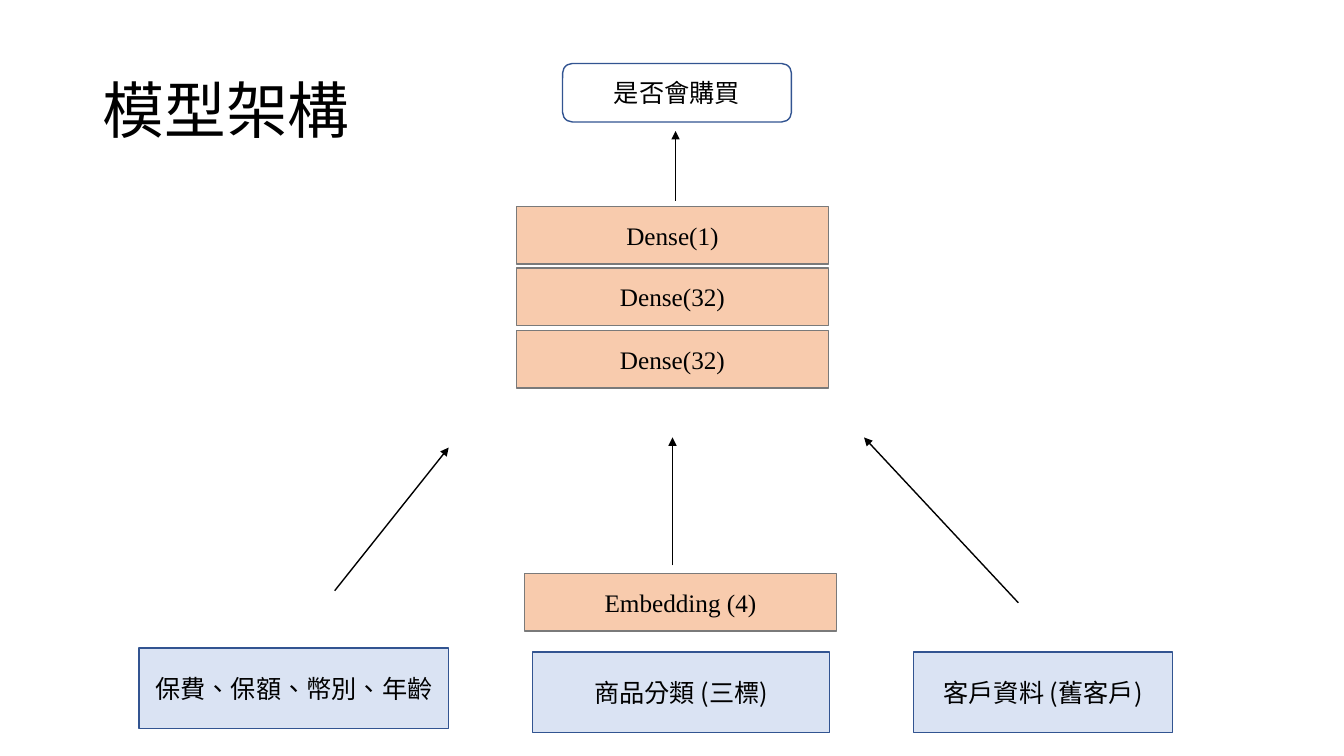
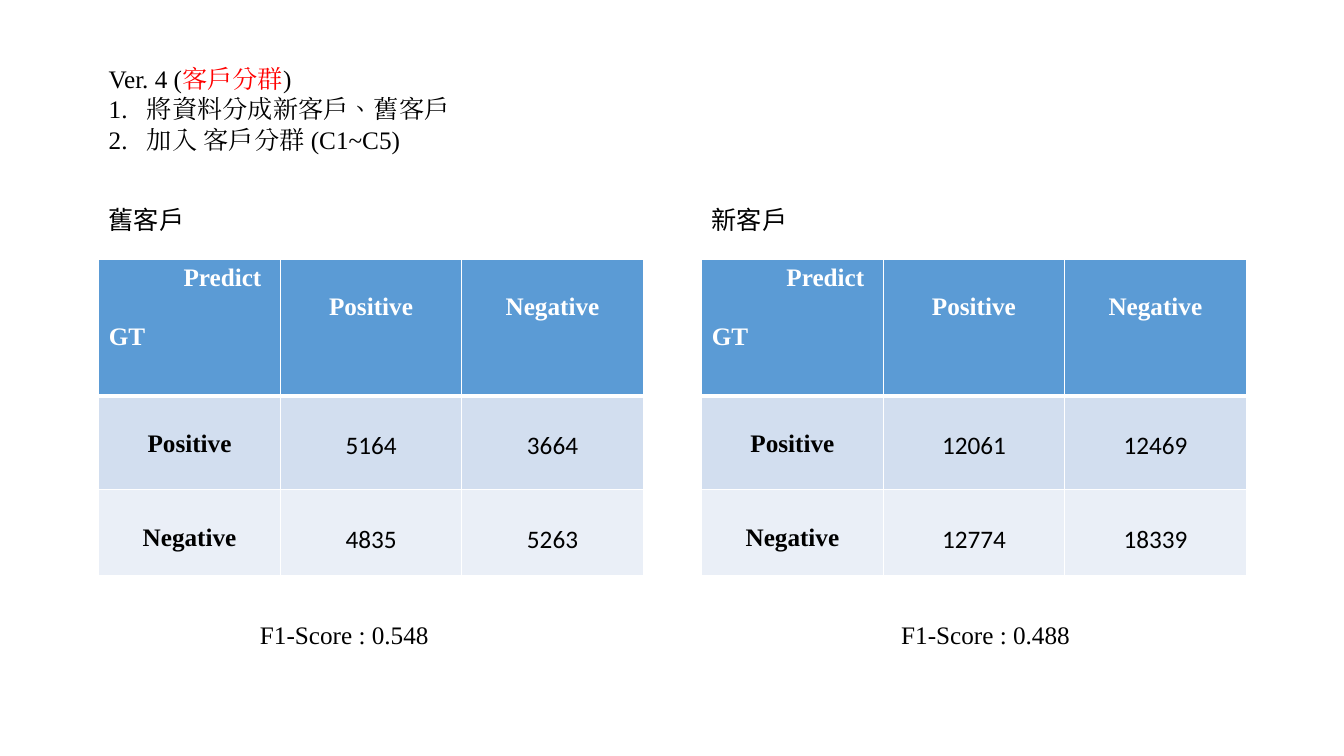
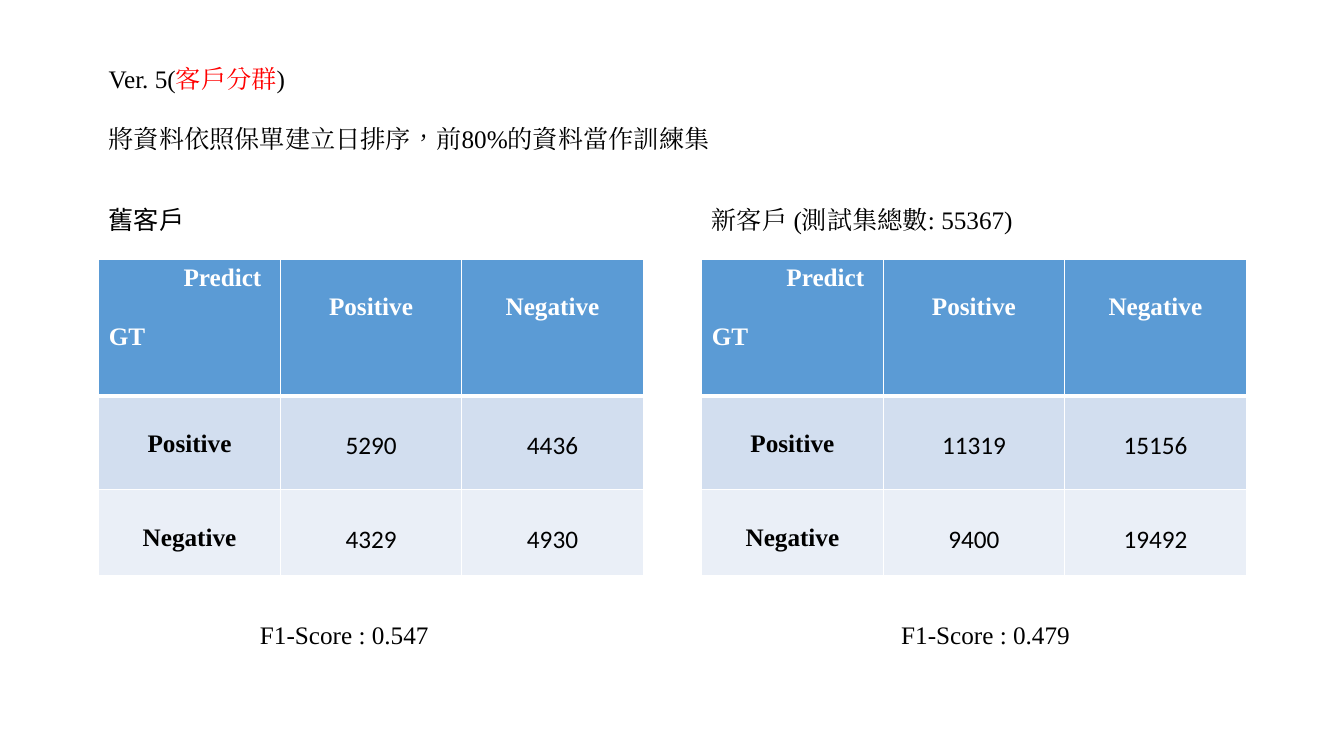
from pptx import Presentation
from pptx.dml.color import RGBColor
from pptx.enum.shapes import MSO_CONNECTOR, MSO_SHAPE
from pptx.enum.text import MSO_ANCHOR, PP_ALIGN
from pptx.oxml.ns import qn
from pptx.util import Inches, Pt
from lxml.etree import SubElement

BLACK = RGBColor(0, 0, 0)
WHITE = RGBColor(255, 255, 255)
RED = RGBColor(255, 0, 0)
NAVY = RGBColor(0x32, 0x54, 0x91)
PALE = RGBColor(0xDA, 0xE3, 0xF3)
PEACH = RGBColor(0xF8, 0xCB, 0xAD)
GRAY = RGBColor(0x7A, 0x7A, 0x7A)
HEAD = RGBColor(0x5B, 0x9B, 0xD5)
BANDS = [RGBColor(0xD2, 0xDE, 0xEF), RGBColor(0xEA, 0xEF, 0xF7)]
SERIF = "Times New Roman"
HAN = "Noto Sans CJK SC"
SANS = "Calibri"
LABELS = ["Positive", "Negative"]


class Deck:
    def __init__(self):
        self.prs = Presentation()
        self.prs.slide_width = Inches(13.33)
        self.prs.slide_height = Inches(7.5)

    def page(self, layout):
        self.slide = self.prs.slides.add_slide(self.prs.slide_layouts[layout])
        self.shapes = self.slide.shapes

    def style(self, para, font=SERIF, color=BLACK, size=18, bold=False):
        for run in para.runs:
            run.font.name = font
            run.font.size = Pt(size)
            run.font.bold = bold
            run.font.color.rgb = color
            props = run.font._element
            props.set("lang", "zh-TW")
            SubElement(props, qn("a:ea")).set("typeface", font)

    def title(self, text):
        shape = self.shapes.title
        shape.left, shape.top = Inches(0.92), Inches(0.4)
        shape.width, shape.height = Inches(11.5), Inches(1.45)
        frame = shape.text_frame
        frame.text = text
        frame.vertical_anchor = MSO_ANCHOR.MIDDLE
        para = frame.paragraphs[0]
        para.alignment = PP_ALIGN.LEFT
        para.line_spacing = 0.9
        self.style(para, HAN, size=44)

    def box(self, text, left, top, width, height, fill, line, font, kind=MSO_SHAPE.RECTANGLE):
        shape = self.shapes.add_shape(kind, Inches(left), Inches(top), Inches(width), Inches(height))
        shape.shadow.inherit = False
        if fill is None:
            shape.fill.background()
        else:
            shape.fill.solid()
            shape.fill.fore_color.rgb = fill
        shape.line.color.rgb = line
        shape.line.width = Pt(1)
        frame = shape.text_frame
        frame.text = text
        frame.word_wrap = True
        frame.vertical_anchor = MSO_ANCHOR.MIDDLE
        para = frame.paragraphs[0]
        para.alignment = PP_ALIGN.CENTER
        self.style(para, font)

    def arrow(self, *ends):
        link = self.shapes.add_connector(MSO_CONNECTOR.STRAIGHT, *[Inches(end) for end in ends])
        link.line.color.rgb = BLACK
        link.line.width = Pt(1)
        SubElement(link.line._get_or_add_ln(), qn("a:tailEnd")).set("type", "triangle")
        SubElement(link._element.spPr, qn("a:effectLst"))

    def text(self, lines, left, top, width, height, font=SERIF):
        shape = self.shapes.add_textbox(Inches(left), Inches(top), Inches(width), Inches(height))
        frame = shape.text_frame
        frame.word_wrap = True
        frame.text = "\n".join(lines)
        for para in frame.paragraphs:
            self.style(para, font)
        return frame.paragraphs

    def intro(self, start, lines, width, listed):
        first, *rest = self.text([start] + lines, 0.98, 0.58, width, 1.01)
        for part, color in [("客戶分群", RED), (")", BLACK)]:
            first.add_run().text = part
        self.style(first)
        first.runs[1].font.color.rgb = RED
        for para in rest:
            if listed:
                self.number(para)
            else:
                para.space_before = Pt(21)

    def number(self, para):
        props = para._p.get_or_add_pPr()
        props.set("marL", str(Inches(0.38)))
        props.set("indent", str(-Inches(0.38)))
        SubElement(props, qn("a:buFont")).set("typeface", HAN)
        SubElement(props, qn("a:buAutoNum")).set("type", "arabicPeriod")

    def border(self, cell, row):
        props = cell._tc.get_or_add_tcPr()
        widths = {"L": 1, "R": 1, "T": 3 if row == 1 else 1, "B": 3 if row == 0 else 1}
        for side, width in widths.items():
            line = SubElement(props, qn("a:ln" + side))
            line.set("w", str(Pt(width)))
            fill = SubElement(line, qn("a:solidFill"))
            SubElement(fill, qn("a:srgbClr")).set("val", str(WHITE))

    def matrix(self, left, values):
        frame = self.shapes.add_table(3, 3, Inches(left), Inches(2.57), Inches(5.39), Inches(3.14))
        table = frame.table
        for col in table.columns:
            col.width = Inches(1.8)
        for row, height in zip(table.rows, [1.36, 0.93, 0.85]):
            row.height = Inches(height)
        rows = [["Predict\nGT"] + LABELS]
        rows += [[label] + pair for label, pair in zip(LABELS, values)]
        for i, row in enumerate(rows):
            for j, value in enumerate(row):
                cell = table.cell(i, j)
                self.border(cell, i)
                cell.fill.solid()
                cell.fill.fore_color.rgb = BANDS[i - 1] if i else HEAD
                cell.text_frame.text = str(value)
                corner = i == j == 0
                cell.margin_top = Inches(0.05 if corner else 0.34)
                label = i == 0 or j == 0
                for para in cell.text_frame.paragraphs:
                    para.alignment = PP_ALIGN.LEFT if corner else PP_ALIGN.CENTER
                    self.style(para, SERIF if label else SANS, BLACK if i else WHITE, bold=label)
        predict, truth = table.cell(0, 0).text_frame.paragraphs
        predict._p.get_or_add_pPr().set("marL", str(Inches(0.74)))
        truth.space_before = Pt(22)

    def result(self, left, name, width, font, values, score):
        self.matrix(left, values)
        self.text([name], left, 1.98, width, 0.4, font)
        shift = 1.5 if left < 5 else 1.88
        self.text([f"F1-Score : {score}"], left + shift, 6.09, 2.4, 1.01)


deck = Deck()

deck.page(5)
deck.title("模型架構")
for name, left, top, width in [
    ("保費、保額、幣別、年齡", 1.38, 6.43, 3.07),
    ("商品分類 (三標)", 5.28, 6.47, 2.95),
    ("客戶資料 (舊客戶)", 9.06, 6.47, 2.57),
]:
    deck.box(name, left, top, width, 0.8, PALE, NAVY, HAN)
for name, left, top in [
    ("Embedding (4)", 5.2, 5.69),
    ("Dense(32)", 5.12, 3.28),
    ("Dense(32)", 5.12, 2.66),
    ("Dense(1)", 5.12, 2.05),
]:
    deck.box(name, left, top, 3.1, 0.57, PEACH, GRAY, SERIF)
deck.box("是否會購買", 5.58, 0.63, 2.27, 0.58, None, NAVY, HAN, MSO_SHAPE.ROUNDED_RECTANGLE)
deck.arrow(3.32, 5.86, 4.45, 4.44)
deck.arrow(6.67, 5.61, 6.67, 4.34)
deck.arrow(6.7, 1.99, 6.7, 1.3)
deck.arrow(10.1, 5.98, 8.57, 4.34)

deck.page(6)
deck.intro("Ver. 4 (", ["將資料分成新客戶、舊客戶", "加入 客戶分群 (C1~C5)"], 4.3, True)
deck.result(0.98, "舊客戶", 1.88, HAN, [[5164, 3664], [4835, 5263]], 0.548)
deck.result(6.96, "新客戶", 3.76, HAN, [[12061, 12469], [12774, 18339]], 0.488)

deck.page(6)
deck.intro("Ver. 5(", ["將資料依照保單建立日排序，前80%的資料當作訓練集"], 6.4, False)
deck.result(0.98, "舊客戶", 1.88, HAN, [[5290, 4436], [4329, 4930]], 0.547)
deck.result(6.96, "新客戶 (測試集總數: 55367)", 4.28, SERIF, [[11319, 15156], [9400, 19492]], 0.479)

deck.prs.save("out.pptx")
